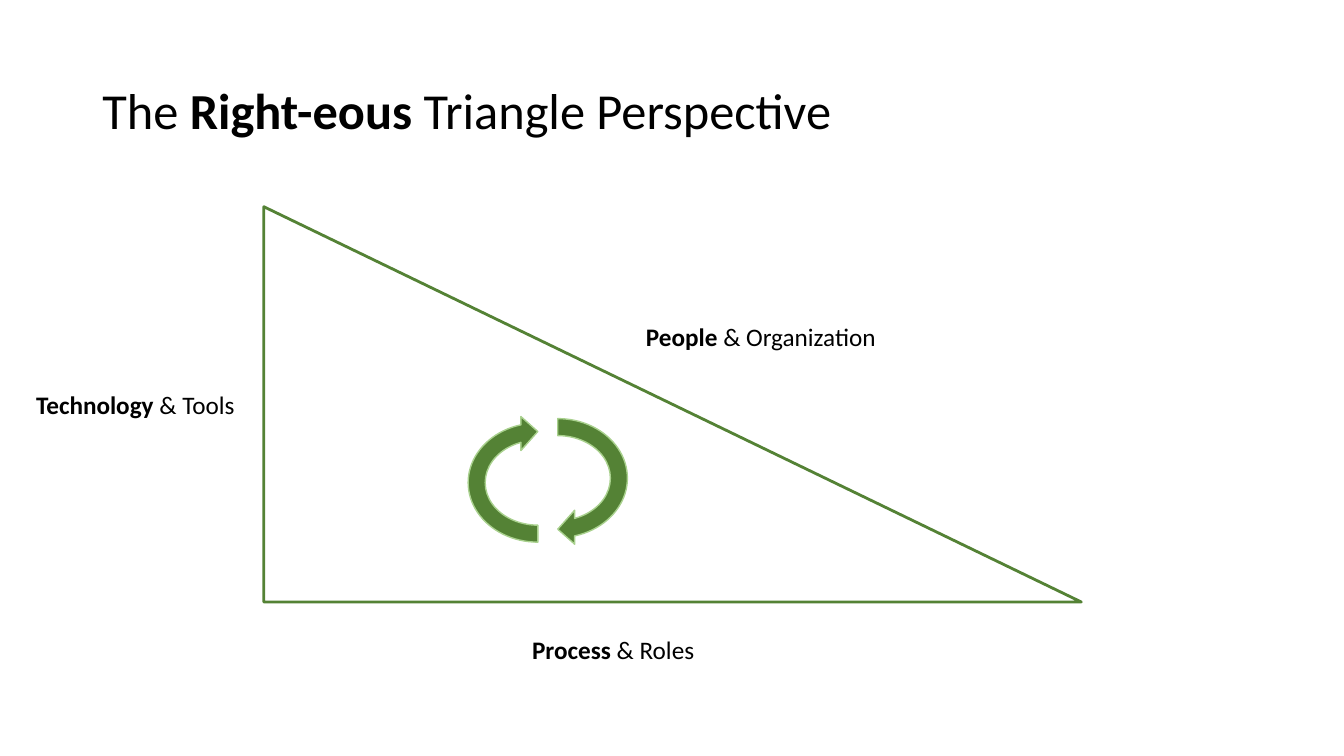
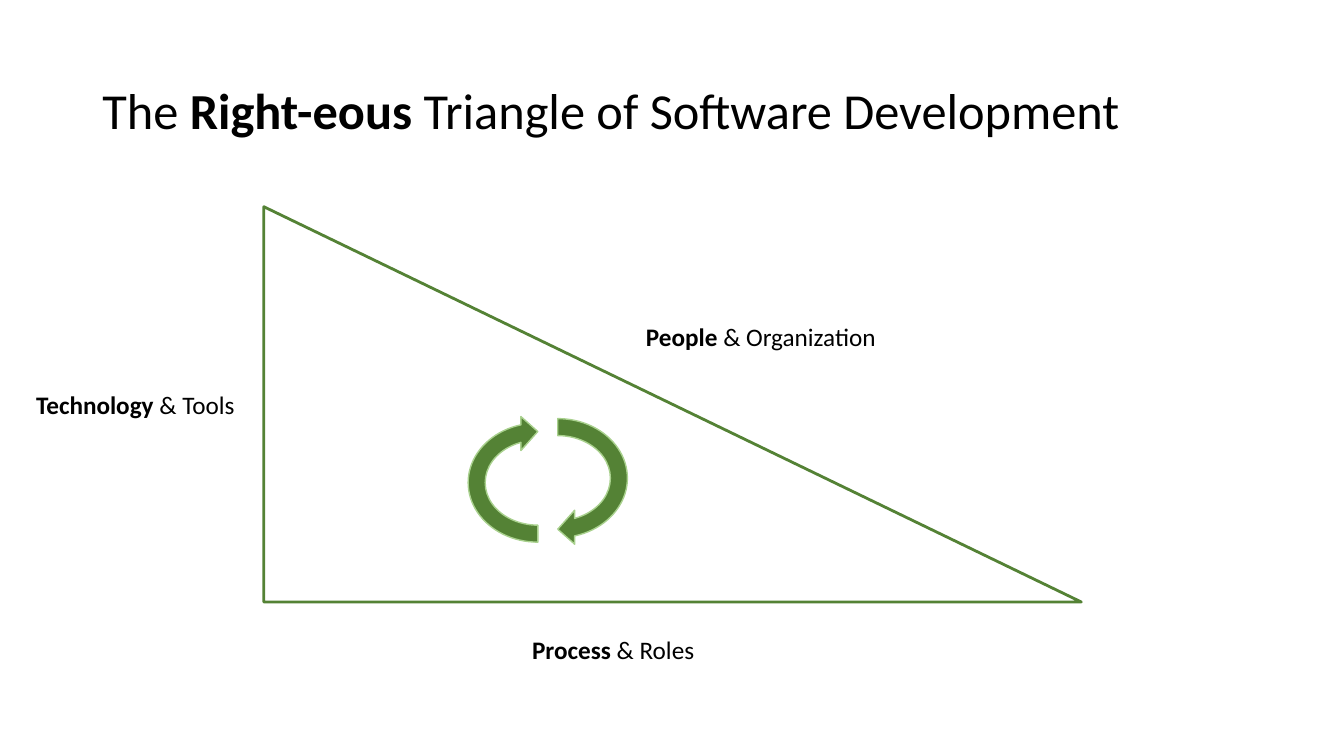
"""Build two slides that share the right-triangle diagram under different titles."""
from pptx import Presentation
from pptx.dml.color import RGBColor
from pptx.enum.shapes import MSO_SHAPE
from pptx.enum.text import MSO_ANCHOR
from pptx.util import Cm, Pt

RIGHT_TRIANGLE = MSO_SHAPE.RIGHT_TRIANGLE
CIRCULAR_ARROW = MSO_SHAPE.CIRCULAR_ARROW
MIDDLE, TOP = MSO_ANCHOR.MIDDLE, MSO_ANCHOR.TOP

BLACK = RGBColor(0x00, 0x00, 0x00)
GREEN = RGBColor(0x54, 0x82, 0x35)
LIGHT_GREEN = RGBColor(0xA9, 0xD1, 0x8E)

TITLE_FONT = {"name": "Calibri", "size": Pt(36)}
LABEL_FONT = {"name": "Calibri", "size": Pt(18)}

TITLE_ENDINGS = [" Triangle Perspective", " Triangle of Software Development"]
SIDE_LABELS = [
    (16.03, 7.98, "People", " & Organization"),
    (13.16, 15.85, "Process", " & Roles"),
    (0.66, 9.68, "Technology", " & Tools"),
]
CYCLE_ARROWS = [(12.34, 10.08, 90), (11.84, 10.19, 270)]


def add_text(slide, box, runs, font_format, anchor=TOP, line_spacing=1.0):
    frame = slide.shapes.add_textbox(*map(Cm, box)).text_frame
    frame.word_wrap = True
    frame.vertical_anchor = anchor
    paragraph = frame.paragraphs[0]
    paragraph.line_spacing = line_spacing
    for text, bold in runs:
        run = paragraph.add_run()
        run.text = text
        run.font.bold = bold
        run.font.color.rgb = BLACK
        for attribute, value in font_format.items():
            setattr(run.font, attribute, value)


def add_outlined(slide, preset, box, line_color, line_width):
    shape = slide.shapes.add_shape(preset, *map(Cm, box))
    shape.shadow.inherit = False
    shape.line.color.rgb = line_color
    shape.line.width = Pt(line_width)
    return shape


presentation = Presentation()
presentation.slide_width = Cm(33.87)
presentation.slide_height = Cm(19.05)
blank_layout = presentation.slide_layouts[6]

for title_ending in TITLE_ENDINGS:
    slide = presentation.slides.add_slide(blank_layout)
    title_runs = [("The ", False), ("Right-eous", True), (title_ending, False)]
    add_text(slide, (2.33, 1.02, 29.21, 3.68), title_runs, TITLE_FONT, MIDDLE, 0.9)

    triangle = add_outlined(slide, RIGHT_TRIANGLE, (6.65, 5.21, 20.6, 9.96), GREEN, 2)
    triangle.fill.background()

    for left, top, aspect, detail in SIDE_LABELS:
        add_text(slide, (left, top, 7.57, 1.02), [(aspect, True), (detail, False)], LABEL_FONT)

    for left, top, rotation in CYCLE_ARROWS:
        cycle_arrow = add_outlined(slide, CIRCULAR_ARROW, (left, top, 3.43, 3.94), LIGHT_GREEN, 1)
        cycle_arrow.fill.solid()
        cycle_arrow.fill.fore_color.rgb = GREEN
        cycle_arrow.rotation = rotation

presentation.save("out.pptx")
